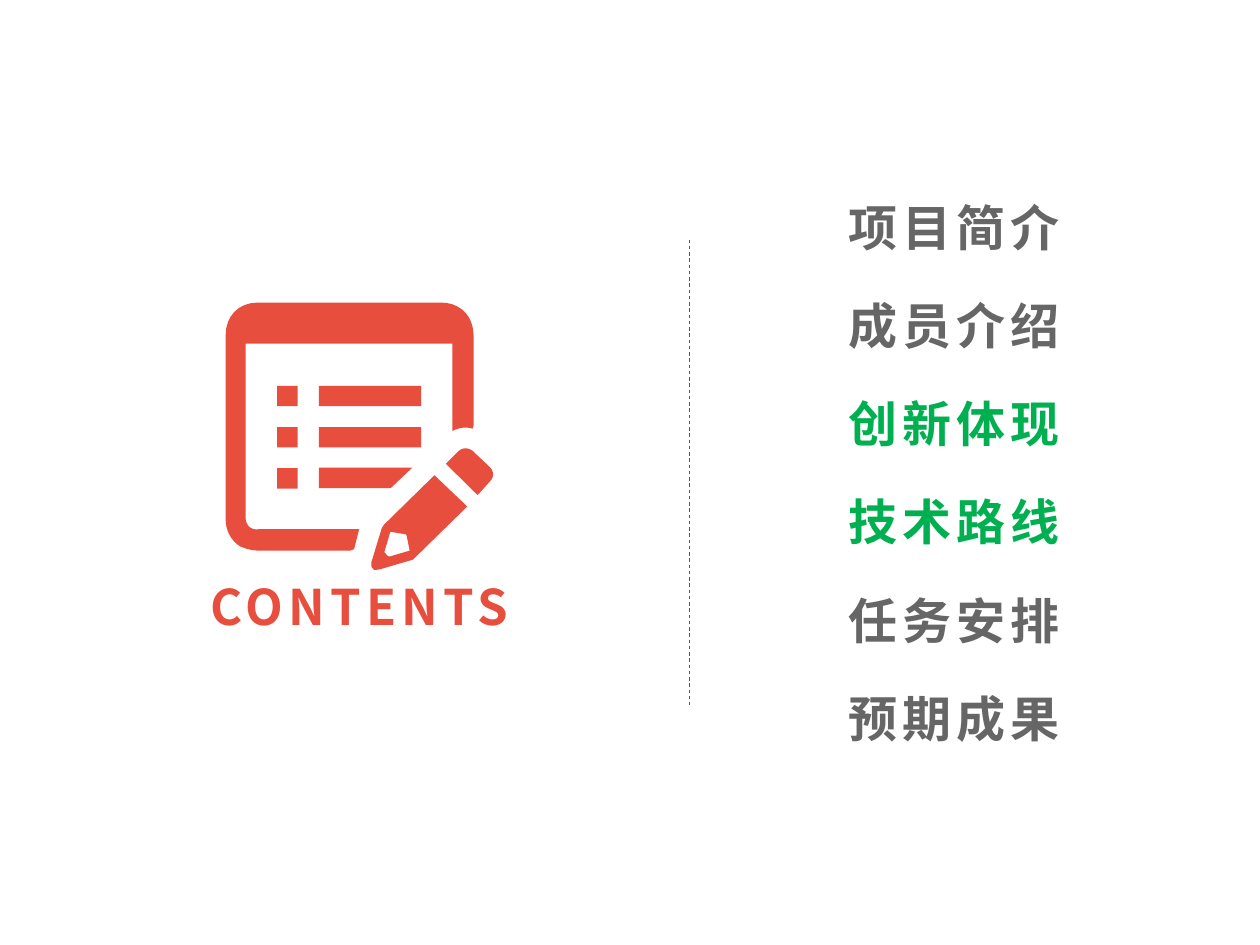
from dataclasses import dataclass

from pptx import Presentation
from pptx.dml.color import RGBColor
from pptx.enum.dml import MSO_LINE
from pptx.enum.shapes import MSO_CONNECTOR, MSO_SHAPE
from pptx.enum.text import MSO_AUTO_SIZE, PP_ALIGN
from pptx.oxml.ns import qn
from pptx.util import Cm, Pt

DASH = MSO_LINE.DASH
STRAIGHT = MSO_CONNECTOR.STRAIGHT
RECTANGLE = MSO_SHAPE.RECTANGLE
FIT_SHAPE = MSO_AUTO_SIZE.SHAPE_TO_FIT_TEXT
LEFT, CENTER = PP_ALIGN.LEFT, PP_ALIGN.CENTER


@dataclass(frozen=True)
class Theme:
    font: str = "Noto Sans CJK SC"
    size: int = 28
    spacing: int = 3
    line_width: float = 0.5
    red: str = "E74E3E"
    gray: str = "666666"
    green: str = "00B050"
    blue: str = "0174AB"


THEME = Theme()
TITLE = "CONTENTS"
TOPICS = [
    ("项目简介", THEME.gray),
    ("成员介绍", THEME.gray),
    ("创新体现", THEME.green),
    ("技术路线", THEME.green),
    ("任务安排", THEME.gray),
    ("预期成果", THEME.gray),
]
TOPIC_LEFT, TOPIC_TOP, TOPIC_STEP, TOPIC_WIDTH = 16.85, 3.85, 1.98, 4.98
TEXT_HEIGHT = 1.45

ROW_TOP, ROW_STEP, ROW_HEIGHT = 7.78, 0.83, 0.41
BULLET_LEFT, BAR_LEFT, BAR_WIDTH = 5.59, 6.43, 2.06

FRAME = [
    (7.24, 10.67), (7.14, 11.07), (7.06, 11.1), (5.21, 11.1),
    (5.08, 11.1, 4.98, 11.07, 4.85, 11.02),
    (4.65, 10.9, 4.55, 10.69, 4.55, 10.46), (4.55, 6.76),
    (4.55, 6.38, 4.8, 6.1, 5.21, 6.1), (8.89, 6.1),
    (9.22, 6.1, 9.47, 6.3, 9.53, 6.6), (9.55, 6.76),
    (9.55, 8.57), (9.53, 8.64), (9.4, 8.61, 9.27, 8.61, 9.12, 8.69),
    (9.12, 6.93), (4.95, 6.93), (4.95, 10.41),
    (4.95, 10.57, 5.03, 10.69, 5.21, 10.67),
]
PENCIL = [
    (8.76, 9.58), (9.42, 10.21), (8.41, 11.2),
    (8.38, 11.23, 8.36, 11.25, 8.33, 11.28), (7.65, 11.48),
    (7.59, 11.48, 7.54, 11.51, 7.52, 11.46),
    (7.47, 11.43, 7.49, 11.38, 7.49, 11.33), (7.7, 10.64), (7.75, 10.57),
]
PENCIL_TIP = [
    (7.87, 10.72), (7.75, 11.13), (7.77, 11.15),
    (7.82, 11.23, 7.85, 11.23, 7.92, 11.2), (8.26, 11.1), (8.2, 10.8),
    (8.18, 10.77),
]
ERASER = [
    (8.99, 9.35), (9.25, 9.09), (9.32, 9.02, 9.45, 9.02, 9.53, 9.09),
    (9.88, 9.42), (9.96, 9.5, 9.96, 9.63, 9.88, 9.7), (9.63, 9.98),
]
CUT_BAR = [
    (6.43, 9.43), (8.31, 9.43), (7.92, 9.8),
    (7.9, 9.83, 7.87, 9.84, 7.85, 9.84), (6.43, 9.84),
]
OUTLINES = [[FRAME], [PENCIL, PENCIL_TIP], [CUT_BAR], [ERASER]]


def flatten(outline, steps=8):
    """Turn corners and cubic curves into a list of points in slide units."""
    points = []
    for part in outline:
        if len(part) == 2:
            points.append(part)
            continue
        controls = [points[-1], part[:2], part[2:4], part[4:]]
        for step in range(1, steps + 1):
            t = step / steps
            weights = ((1 - t) ** 3, 3 * t * (1 - t) ** 2, 3 * t * t * (1 - t), t ** 3)
            points.append(tuple(
                sum(weight * control[axis] for weight, control in zip(weights, controls))
                for axis in (0, 1)
            ))
    return [(Cm(x), Cm(y)) for x, y in points]


def paint(shape, color):
    """Give a shape a flat fill with no line or shadow."""
    shape.fill.solid()
    shape.fill.fore_color.rgb = RGBColor.from_string(color)
    shape.line.fill.background()
    shape.shadow.inherit = False


def add_outline(shapes, contours, color):
    """Draw one filled shape from closed contours."""
    first, *others = [flatten(contour) for contour in contours]
    builder = shapes.build_freeform(*first[0])
    builder.add_line_segments(first[1:], close=True)
    for points in others:
        builder.move_to(*points[0])
        builder.add_line_segments(points[1:], close=True)
    paint(builder.convert_to_shape(), color)


def add_icon(slide):
    """Draw the notepad and pencil as one group."""
    shapes = slide.shapes.add_group_shape().shapes
    for contours in OUTLINES:
        add_outline(shapes, contours, THEME.red)
    bullets = [(BULLET_LEFT, row, ROW_HEIGHT) for row in range(3)]
    bars = [(BAR_LEFT, row, BAR_WIDTH) for row in range(2)]
    for left, row, width in bullets + bars:
        top = ROW_TOP + row * ROW_STEP
        shape = shapes.add_shape(RECTANGLE, Cm(left), Cm(top), Cm(width), Cm(ROW_HEIGHT))
        paint(shape, THEME.red)


def add_text(slide, text, *, left, top, width, color, align=LEFT):
    """Add one line of bold, spaced text."""
    box = slide.shapes.add_textbox(Cm(left), Cm(top), Cm(width), Cm(TEXT_HEIGHT))
    frame = box.text_frame
    frame.word_wrap = True
    frame.auto_size = FIT_SHAPE
    paragraph = frame.paragraphs[0]
    paragraph.alignment = align
    run = paragraph.add_run()
    run.text = text
    run.font.name = THEME.font
    run.font.size = Pt(THEME.size)
    run.font.bold = True
    run.font.color.rgb = RGBColor.from_string(color)
    properties = run.font._element
    properties.set("spc", str(THEME.spacing * 100))
    east_asian = properties.makeelement(qn("a:ea"), {"typeface": THEME.font})
    properties.find(qn("a:latin")).addnext(east_asian)


def add_divider(slide):
    """Draw the dashed vertical line."""
    divider = slide.shapes.add_connector(STRAIGHT, Cm(13.9), Cm(4.83), Cm(13.9), Cm(14.22))
    divider.line.color.rgb = RGBColor.from_string(THEME.blue)
    divider.line.width = Pt(THEME.line_width)
    divider.line.dash_style = DASH
    properties = divider._element.spPr
    properties.append(properties.makeelement(qn("a:effectLst"), {}))


def main():
    """Build the contents slide."""
    presentation = Presentation()
    presentation.slide_width, presentation.slide_height = Cm(25.4), Cm(19.05)
    slide = presentation.slides.add_slide(presentation.slide_layouts[6])
    add_divider(slide)
    for index, (text, color) in enumerate(TOPICS):
        add_text(slide, text, left=TOPIC_LEFT, top=TOPIC_TOP + index * TOPIC_STEP,
                 width=TOPIC_WIDTH, color=color)
    add_icon(slide)
    add_text(slide, TITLE, left=3.55, top=11.5, width=7.39, color=THEME.red, align=CENTER)
    presentation.save("out.pptx")


if __name__ == "__main__":
    main()
